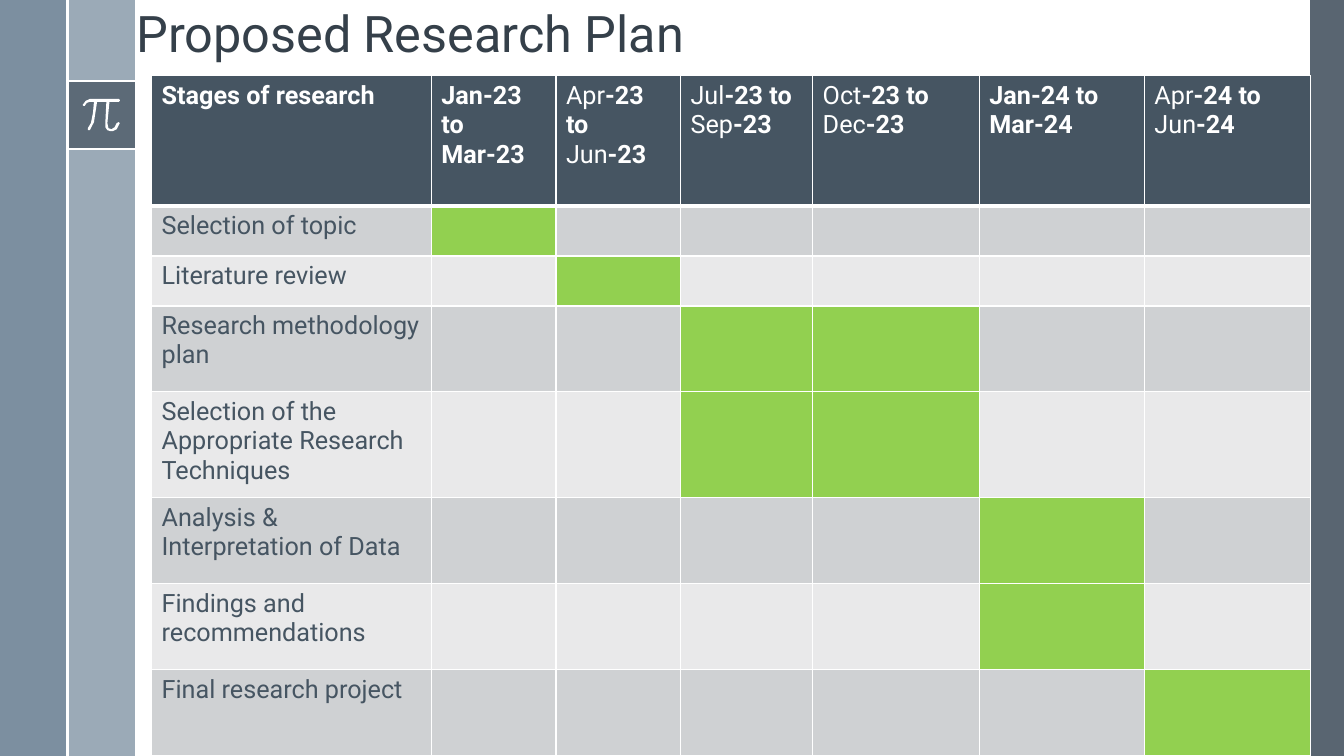
from dataclasses import dataclass

import lxml.etree
import pptx
import pptx.dml.color
import pptx.enum.shapes
import pptx.enum.text
import pptx.oxml
import pptx.oxml.ns
import pptx.util

Cm, Pt = pptx.util.Cm, pptx.util.Pt
qn = pptx.oxml.ns.qn


@dataclass(frozen=True)
class Theme:
    font: str = "Roboto"
    title_size: int = 36
    table_size: int = 18
    title: str = "35404A"
    header: str = "465562"
    dark: str = "475562"
    rail: str = "9BAAB7"
    margin: str = "6A8093"
    bands: tuple = ("CFD1D3", "E9E9EA")
    active: str = "92D050"
    white: str = "FFFFFF"
    rule_width: float = 1.5
    grid_width: int = 1
    header_rule_width: int = 3


THEME = Theme()

# Each quarter: first month, last month, year, months in bold
QUARTERS = [
    ("Jan", "Mar", 23, True),
    ("Apr", "Jun", 23, False),
    ("Jul", "Sep", 23, False),
    ("Oct", "Dec", 23, False),
    ("Jan", "Mar", 24, True),
    ("Apr", "Jun", 24, False),
]
# Each stage: name, active quarters, row height in cm
STAGES = [
    ("Selection of topic", {1}, 1.26),
    ("Literature review", {2}, 1.26),
    ("Research methodology plan", {3, 4}, 2.16),
    ("Selection of the Appropriate Research Techniques", {3, 4}, 2.67),
    ("Analysis & Interpretation of Data", {5}, 2.17),
    ("Findings and recommendations", {5}, 2.17),
    ("Final research project", {6}, 2.17),
]
HEADER_HEIGHT = 3.28
COLUMN_WIDTHS = [7.05, 3.14, 3.14, 3.33, 4.2, 4.16, 4.18]

# Outline of the pi sign on a grid 36 wide and 32 high
PI_GRID = (36, 32)
PI_OUTLINE = [
    (35, 0), (7, 0), (3, 2), (0, 6), (1, 7), (2, 7), (4, 4), (7, 3), (11, 3),
    (10, 14), (8, 24), (5, 29), (5, 31), (6, 31), (7, 31), (11, 23), (14, 3),
    (23, 3), (22, 24), (22, 28), (24, 31), (27, 32), (29, 32), (33, 30),
    (36, 24), (35, 23), (33, 24), (31, 28), (28, 30), (25, 29), (24, 24),
    (26, 3), (35, 3), (36, 2), (36, 1),
]


def rgb(color):
    return pptx.dml.color.RGBColor.from_string(color)


def apply(target, settings):
    for attribute, value in settings.items():
        setattr(target, attribute, value)


def write(paragraph, text, size, color, bold=False):
    run = paragraph.add_run()
    run.text = text
    apply(run.font, {"name": THEME.font, "size": Pt(size), "bold": bold})
    run.font.color.rgb = rgb(color)


def paint(shape, color, opacity=100):
    shape.shadow.inherit = False
    shape.fill.solid()
    shape.fill.fore_color.rgb = rgb(color)
    shape.line.fill.background()
    if opacity < 100:
        fill_color = shape.fill._xPr.find(qn("a:solidFill"))[0]
        lxml.etree.SubElement(fill_color, qn("a:alpha"), val=str(opacity * 1000))


def add_panel(slide, box, color, opacity=100):
    panel = slide.shapes.add_shape(
        pptx.enum.shapes.MSO_SHAPE.RECTANGLE, *map(Cm, box))
    paint(panel, color, opacity)


def add_rule(slide, start, end):
    rule = slide.shapes.add_connector(
        pptx.enum.shapes.MSO_CONNECTOR.STRAIGHT, *map(Cm, start + end))
    rule.line.color.rgb = rgb(THEME.white)
    rule.line.width = Pt(THEME.rule_width)
    lxml.etree.SubElement(rule._element.spPr, qn("a:effectLst"))


def add_pi_badge(slide, box):
    left, top, width, height = box
    add_panel(slide, box, THEME.dark, 75)
    for y in (top, top + height):
        add_rule(slide, (left, y), (left + width, y))

    # Pi sign centred in the badge
    sign_width, sign_height = 0.55 * width, 0.48 * height
    scale = (Cm(sign_width) / PI_GRID[0], Cm(sign_height) / PI_GRID[1])
    builder = slide.shapes.build_freeform(*PI_OUTLINE[0], scale=scale)
    builder.add_line_segments(PI_OUTLINE[1:], close=True)
    sign = builder.convert_to_shape(
        Cm(left + (width - sign_width) / 2), Cm(top + (height - sign_height) / 2))
    paint(sign, THEME.white)


def add_side_bands(slide, box):
    left, top, width, height = box
    band = 1.7
    add_panel(slide, (left + width - band / 2, top, band / 2, height), THEME.dark, 90)
    add_panel(slide, (left + band, top, band, height), THEME.rail)
    add_panel(slide, (left, top, band, height), THEME.margin, 88)
    add_pi_badge(slide, (left + band, top + 2.05, band, band))
    add_rule(slide, (left + band, top), (left + band, top + height))


def add_title(slide, box):
    title = slide.shapes.title
    apply(title, dict(zip(("left", "top", "width", "height"), map(Cm, box))))
    apply(title.text_frame, {
        "word_wrap": True,
        "auto_size": pptx.enum.text.MSO_AUTO_SIZE.NONE,
        "vertical_anchor": pptx.enum.text.MSO_ANCHOR.BOTTOM,
    })
    heading = title.text_frame.paragraphs[0]
    apply(heading, {"alignment": pptx.enum.text.PP_ALIGN.LEFT, "line_spacing": 0.9})
    write(heading, "Proposed Research Plan", THEME.title_size, THEME.title)


def format_cell(cell, color, top_width, bottom_width):
    cell.fill.solid()
    cell.fill.fore_color.rgb = rgb(color)
    properties = cell._tc.get_or_add_tcPr()
    widths = {"L": THEME.grid_width, "R": THEME.grid_width,
              "T": top_width, "B": bottom_width}
    for position, (side, width) in enumerate(widths.items()):
        border = lxml.etree.Element(qn(f"a:ln{side}"), w=str(Pt(width)))
        fill = lxml.etree.SubElement(border, qn("a:solidFill"))
        lxml.etree.SubElement(fill, qn("a:srgbClr"), val=THEME.white)
        properties.insert(position, border)


def write_quarter(paragraph, first, last, year, bold_months):
    parts = [(first, bold_months), (f"-{year} to ", True),
             (last, bold_months), (f"-{year}", True)]
    for text, bold in parts:
        write(paragraph, text, THEME.table_size, THEME.white, bold)


def add_schedule(slide, box):
    schedule = slide.shapes.add_table(
        len(STAGES) + 1, len(COLUMN_WIDTHS), *map(Cm, box)).table
    for column, width in zip(schedule.columns, COLUMN_WIDTHS):
        column.width = Cm(width)
    heights = [HEADER_HEIGHT] + [height for _, _, height in STAGES]
    for row, height in zip(schedule.rows, heights):
        row.height = Cm(height)

    # Header row
    thin, thick = THEME.grid_width, THEME.header_rule_width
    for cell in schedule.rows[0].cells:
        format_cell(cell, THEME.header, thin, thick)
    write(schedule.cell(0, 0).text_frame.paragraphs[0], "Stages of research",
          THEME.table_size, THEME.white, True)
    for column, quarter in enumerate(QUARTERS, 1):
        write_quarter(schedule.cell(0, column).text_frame.paragraphs[0], *quarter)

    # Stage rows
    for row, (stage, active, _) in enumerate(STAGES, 1):
        band = THEME.bands[(row - 1) % 2]
        for column, cell in enumerate(schedule.rows[row].cells):
            color = THEME.active if column in active else band
            format_cell(cell, color, thick if row == 1 else thin, thin)
        write(schedule.cell(row, 0).text_frame.paragraphs[0], stage,
              THEME.table_size, THEME.header)


def main():
    deck = pptx.Presentation()
    apply(deck, {"slide_width": Cm(33.87), "slide_height": Cm(19.05)})
    slide = deck.slides.add_slide(deck.slide_layouts.get_by_name("Title Only"))
    add_side_bands(slide, (0, 0, 33.87, 19.05))
    add_title(slide, (3.18, -1.73, 27.18, 3.45))
    add_schedule(slide, (3.82, 1.91, sum(COLUMN_WIDTHS), 17.14))
    deck.save("out.pptx")


if __name__ == "__main__":
    main()
